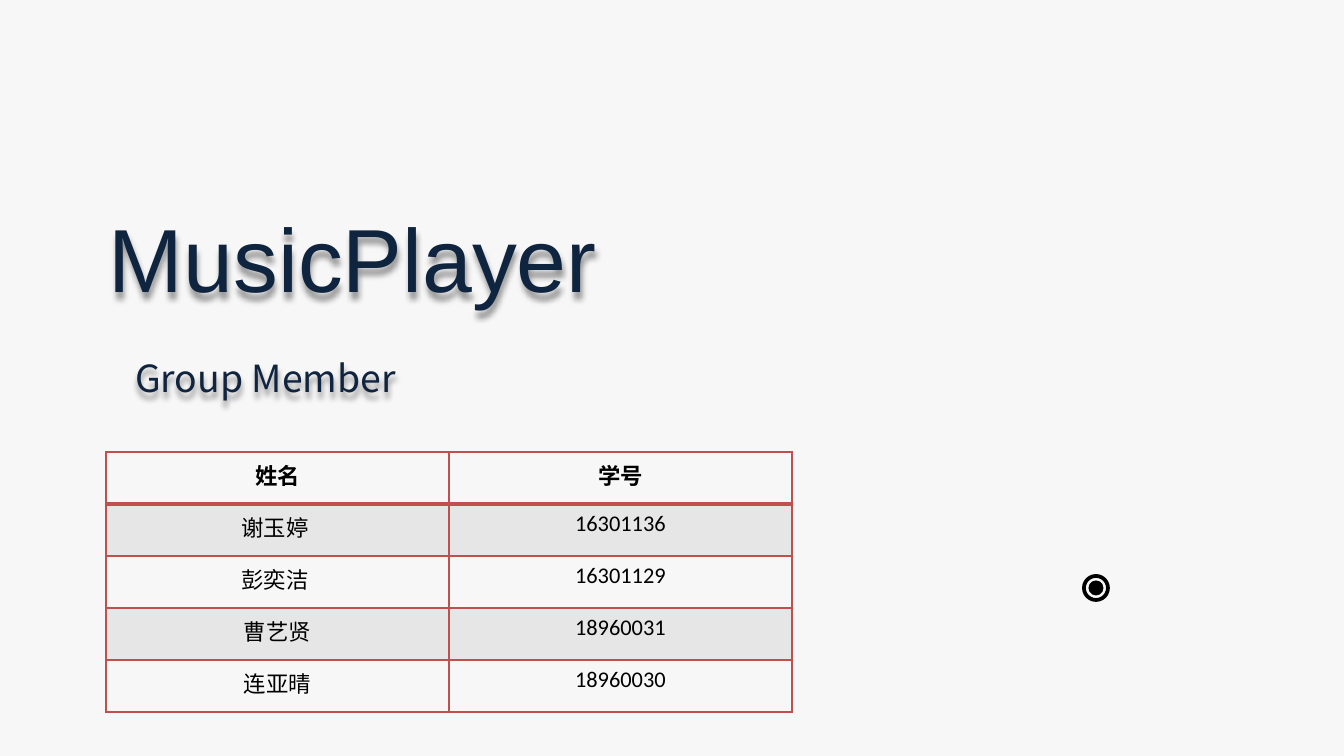
import pptx
import pptx.dml.color
import pptx.enum.shapes
import pptx.enum.text
import pptx.oxml
import pptx.oxml.ns
import pptx.util

PX = 914400 / 134.4
THEME = {
    "background": "F7F7F7", "title": "0F243E", "subtitle": "10243F",
    "ink": "000000", "rule": "C0504D", "band": "A6A6A6",
    "title_size": 48, "subtitle_size": 20, "table_size": 12,
}
NS = pptx.oxml.ns.nsdecls("a")
ALIGN = pptx.enum.text.PP_ALIGN
ANCHOR = pptx.enum.text.MSO_ANCHOR


def px(*lengths):
    return [pptx.util.Emu(round(length * PX)) for length in lengths]


def write(frame, text, *, font, size, color, bold=False, align=ALIGN.CENTER):
    paragraph = frame.paragraphs[0]
    paragraph.alignment = align
    run = paragraph.add_run()
    run.text = text
    run.font.name = font
    run.font.size = pptx.util.Pt(size)
    run.font.bold = bold
    run.font.color.rgb = pptx.dml.color.RGBColor.from_string(color)


deck = pptx.Presentation()
deck.slide_width, deck.slide_height = px(1344, 756)
slide = deck.slides.add_slide(deck.slide_layouts[6])
slide.background.fill.solid()
slide.background.fill.fore_color.rgb = pptx.dml.color.RGBColor.from_string(THEME["background"])

# Record mark: a filled dot inside a ring
ink = pptx.dml.color.RGBColor.from_string(THEME["ink"])
center_x, center_y = 1096, 588
for diameter, filled in ((15, True), (24, False)):
    disc = slide.shapes.add_shape(
        pptx.enum.shapes.MSO_SHAPE.OVAL,
        *px(center_x - diameter / 2, center_y - diameter / 2, diameter, diameter))
    disc.shadow.inherit = False
    if filled:
        disc.fill.solid()
        disc.fill.fore_color.rgb = ink
        disc.line.fill.background()
    else:
        disc.fill.background()
        disc.line.color.rgb = ink
        disc.line.width = pptx.util.Pt(2)

# Headings with a soft shadow under the letters
headings = [
    ("MusicPlayer", (106, 200, 585, 114), "Arial", "title"),
    ("Group Member", (132, 352, 301, 51), "Noto Sans CJK SC", "subtitle"),
]
for text, place, font, role in headings:
    heading = slide.shapes.add_textbox(*px(*place))
    frame = heading.text_frame
    frame.word_wrap = True
    frame.vertical_anchor = ANCHOR.MIDDLE
    frame.margin_left, frame.margin_top, frame.margin_right, frame.margin_bottom = px(3, 3, 3, 3)
    write(frame, text, font=font, size=THEME[role + "_size"], color=THEME[role],
          align=ALIGN.JUSTIFY)
    heading.fill.background()
    heading._element.spPr.append(pptx.oxml.parse_xml(
        f'<a:effectLst {NS}><a:outerShdw blurRad="38100" dist="38100" dir="5400000" '
        f'algn="t" rotWithShape="0"><a:srgbClr val="{THEME["ink"]}"><a:alpha val="40000"/>'
        '</a:srgbClr></a:outerShdw></a:effectLst>'))

# Group members
members = [
    ("姓名", "学号"),
    ("谢玉婷 ", "16301136"),
    ("彭奕洁 ", "16301129"),
    ("曹艺贤", "18960031"),
    ("连亚晴", "18960030"),
]
column_width, row_height = 343, 52
table = slide.shapes.add_table(
    len(members), 2, *px(106, 452, 2 * column_width, len(members) * row_height)).table
table.horz_banding = False
for column in table.columns:
    column.width = px(column_width)[0]

for row_index, member in enumerate(members):
    table.rows[row_index].height = px(row_height)[0]
    for column_index, text in enumerate(member):
        cell = table.cell(row_index, column_index)
        write(cell.text_frame, text, font="Calibri", size=THEME["table_size"],
              color=THEME["ink"], bold=row_index == 0)
        properties = cell._tc.get_or_add_tcPr()
        if row_index % 2:
            cell.fill.solid()
            cell.fill.fore_color.rgb = pptx.dml.color.RGBColor.from_string(THEME["band"])
            properties.find(".//" + pptx.oxml.ns.qn("a:srgbClr")).append(
                pptx.oxml.parse_xml(f'<a:alpha {NS} val="20000"/>'))
        else:
            cell.fill.background()
        for position, side in enumerate("LRTB"):
            under_header = (row_index, side) in ((0, "B"), (1, "T"))
            width = pptx.util.Pt(2 if under_header else 1)
            properties.insert(position, pptx.oxml.parse_xml(
                f'<a:ln{side} {NS} w="{width}"><a:solidFill><a:srgbClr val="{THEME["rule"]}"/>'
                f'</a:solidFill></a:ln{side}>'))

deck.save("out.pptx")
